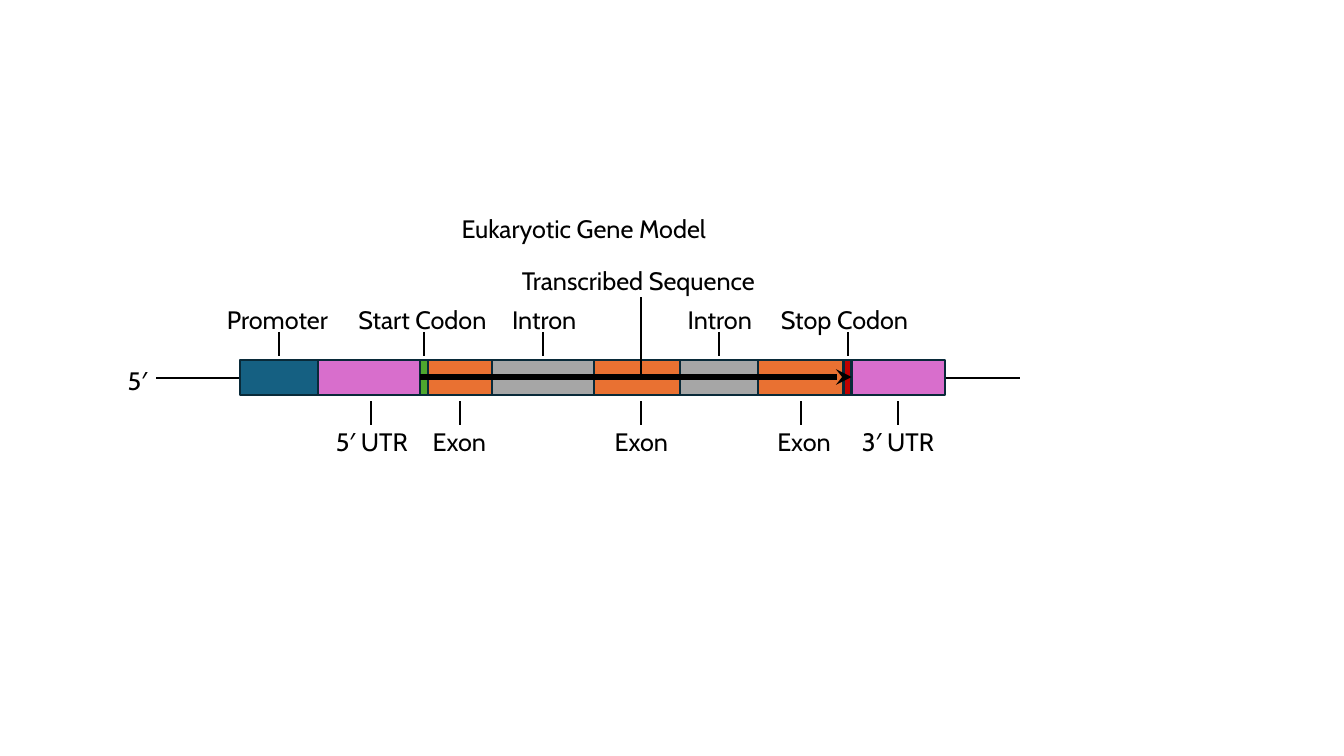
import pptx
import pptx.dml.color
import pptx.enum.shapes
import pptx.enum.text
import pptx.oxml.ns
import pptx.util
from lxml import etree

Cm = pptx.util.Cm
FONT = "Cabin"
BLACK, OUTLINE = "000000", "092A39"
BLUE, PINK, GREEN = "156082", "D86ECC", "4EA72E"
ORANGE, GREY, RED = "E97132", "A6A6A6", "C00000"

# label, width, fill, label above the bar, tick shift from centre, label left from tick (cm)
SEGMENTS = [
    ("Promoter", 1.96, BLUE, True, 0, -1.56),
    ("5′ UTR", 2.57, PINK, False, 0.06, -1.14),
    ("Start Codon", 0.20, GREEN, True, 0, -1.90),
    ("Exon", 1.63, ORANGE, False, 0, -0.94),
    ("Intron", 2.57, GREY, True, 0, -1.04),
    ("Exon", 2.16, ORANGE, False, 0.09, -0.91),
    ("Intron", 1.96, GREY, True, 0, -1.04),
    ("Exon", 2.16, ORANGE, False, 0, -0.84),
    ("Stop Codon", 0.20, RED, True, 0, -1.93),
    ("3′ UTR", 2.36, PINK, False, 0, -1.17),
]
START_CODON, MIDDLE_EXON, STOP_CODON = 2, 5, 8


def colour(hex_string):
    return pptx.dml.color.RGBColor.from_string(hex_string)


def format_text(shape, text):
    frame = shape.text_frame
    frame.text = text
    frame.word_wrap = True
    frame.auto_size = pptx.enum.text.MSO_AUTO_SIZE.NONE
    frame.vertical_anchor = pptx.enum.text.MSO_ANCHOR.TOP
    paragraph = frame.paragraphs[0]
    paragraph.alignment = pptx.enum.text.PP_ALIGN.LEFT
    paragraph.line_spacing = 1.0
    font = paragraph.runs[0].font
    font.name, font.size = FONT, pptx.util.Pt(18)
    font.color.rgb = colour(BLACK)


def add_label(slide, text, left, top, width=3.84):
    shape = slide.shapes.add_textbox(Cm(left), Cm(top), Cm(width), Cm(1.02))
    format_text(shape, text)


def add_line(slide, x1, y1, x2, y2, width=1.5):
    line = slide.shapes.add_connector(
        pptx.enum.shapes.MSO_CONNECTOR.STRAIGHT, Cm(x1), Cm(y1), Cm(x2), Cm(y2))
    line.line.color.rgb = colour(BLACK)
    line.line.width = pptx.util.Pt(width)
    etree.SubElement(line._element.spPr, pptx.oxml.ns.qn("a:effectLst"))
    return line


def add_title(slide, left, top, width, height):
    title = slide.shapes.title
    title.left, title.top = Cm(left), Cm(top)
    title.width, title.height = Cm(width), Cm(height)
    format_text(title, "Eukaryotic Gene Model")


def add_strand(slide, left, top, width):
    """Draw the DNA strand and mark its 5′ end."""
    add_line(slide, left, top + 0.46, left + width, top + 0.46)
    add_label(slide, "5′", left - 0.97, top, 1.04)


def add_segments(slide, left, top, height):
    """Draw the labelled gene segments; return their edges and tick positions."""
    edges, ticks = [left], []
    for label, width, fill, above, shift, label_offset in SEGMENTS:
        segment = slide.shapes.add_shape(
            pptx.enum.shapes.MSO_SHAPE.RECTANGLE,
            Cm(edges[-1]), Cm(top), Cm(width), Cm(height))
        segment.shadow.inherit = False
        segment.fill.solid()
        segment.fill.fore_color.rgb = colour(fill)
        segment.line.color.rgb = colour(OUTLINE)
        segment.line.width = pptx.util.Pt(1.5)

        tick = edges[-1] + width / 2 + shift
        tick_top = top - 0.71 if above else top + 1.04
        label_top = top - 1.52 if above else top + 1.55
        add_line(slide, tick, tick_top, tick, tick_top + 0.61)
        add_label(slide, label, tick + label_offset, label_top)
        edges.append(edges[-1] + width)
        ticks.append(tick)
    return edges, ticks


def add_transcript(slide, left, right, stem, top):
    """Draw the transcription arrow with its stem and label."""
    middle = top + 0.43
    arrow = add_line(slide, left, middle, right, middle, 3.75)
    etree.SubElement(arrow.line._get_or_add_ln(),
                     pptx.oxml.ns.qn("a:tailEnd"), type="stealth")
    add_line(slide, stem, top - 1.58, stem, middle)
    add_label(slide, "Transcribed Sequence", stem - 3.25, top - 2.52, 6.91)


def add_gene_model(slide, left, top, width, height):
    add_strand(slide, left, top, width)
    edges, ticks = add_segments(slide, left + 2.11, top, height)
    add_transcript(slide, edges[START_CODON], edges[STOP_CODON + 1],
                   ticks[MIDDLE_EXON], top)


def main():
    presentation = pptx.Presentation()
    presentation.slide_width, presentation.slide_height = Cm(33.87), Cm(19.05)
    slide = presentation.slides.add_slide(presentation.slide_layouts[5])
    add_title(slide, 11.38, 5.26, 6.91, 1.02)
    add_gene_model(slide, 3.94, 9.07, 21.76, 0.89)
    presentation.save("out.pptx")


if __name__ == "__main__":
    main()
